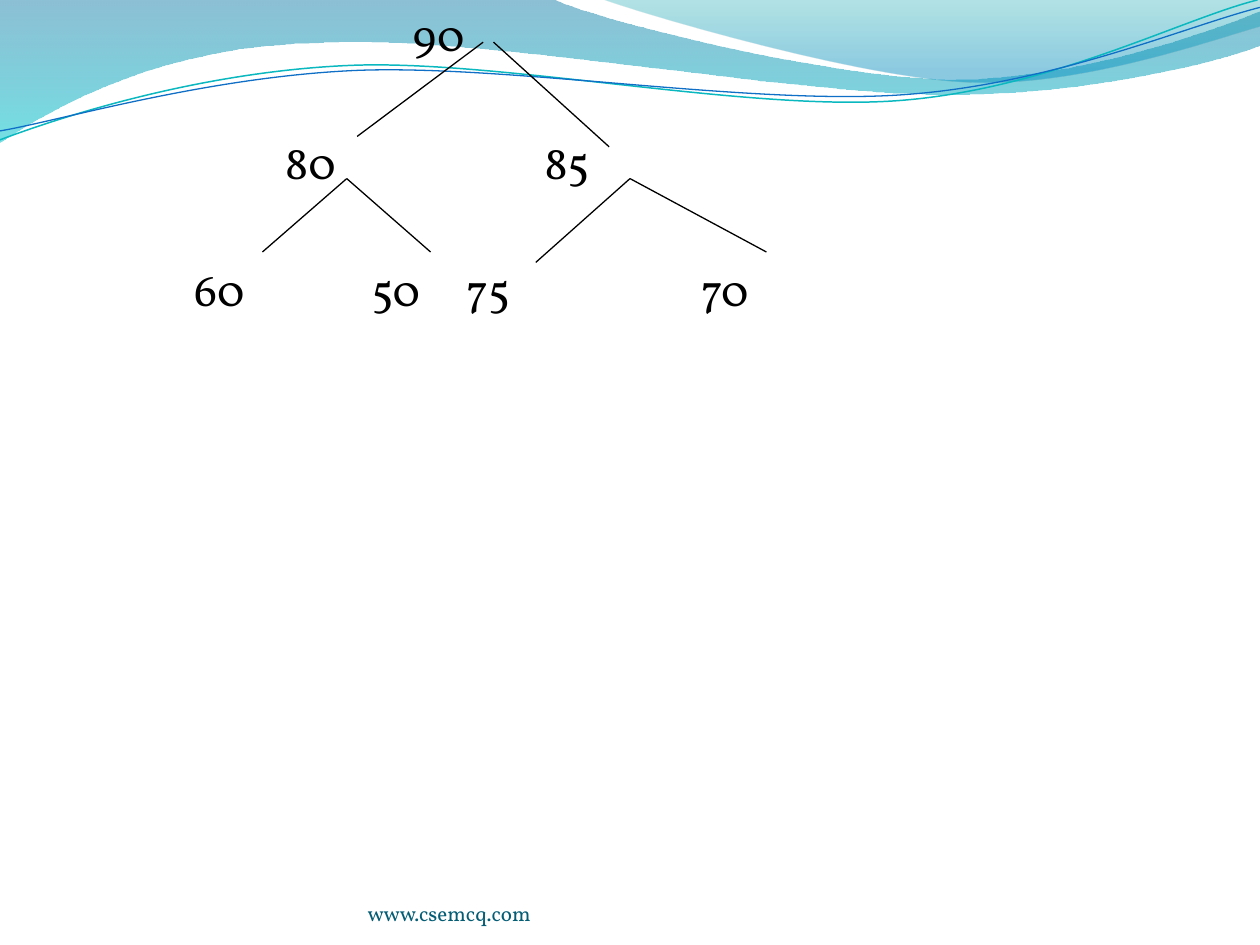
from lxml.etree import SubElement
from pptx import Presentation
from pptx.dml.color import RGBColor
from pptx.enum.shapes import MSO_CONNECTOR
from pptx.enum.text import MSO_ANCHOR
from pptx.oxml.ns import qn
from pptx.util import Cm, Pt

THEME = {
    "font": "Vollkorn",
    "ink": "000000", "footer": "045D75",
    "node_size": 26, "footer_size": 12,
    "level_gap": 41.5, "edge_width": 0.75,
}

# Heap: one list per level, (value, centre x) in cm
LEVELS = [
    [("90", 8.84)],
    [("80", 6.26), ("85", 11.43)],
    [("60", 4.42), ("50", 7.98), ("75", 9.84), ("70", 14.61)],
]
INSET_X, INSET_Y = 0.25, 0.13

# Edges: (from, to) in cm
EDGES = [
    ((9.74, 0.85), (7.2, 2.75)), ((9.95, 0.85), (12.28, 2.96)),
    ((6.99, 3.6), (5.29, 5.08)), ((6.99, 3.6), (8.68, 5.08)),
    ((12.7, 3.6), (10.8, 5.29)), ((12.7, 3.6), (15.45, 5.08)),
]
FOOTER = "www.csemcq.com"

# Outlines in cm: a start point, then line ends (2 numbers) or Bezier curves (6)
# Gradient stops: (position, colour, opacity %)
BANDS = [
    ([(0, 0), (11.18, 0), (12.09, 0.43, 16.87, 1.6, 19.25, 1.6),
      (21.67, 1.6, 24.33, 0.66, 25.4, 0.23), (25.4, 0.91),
      (24.97, 1.12, 22.1, 1.93, 18.95, 1.9),
      (15.8, 1.9, 9.7, 0.71, 6.53, 0.86), (3.28, 0.91, 1.17, 2.11, 0, 2.87)],
     [(0, "0074A1", 45), (1, "00C6CF", 55)]),
    ([(12.17, 0), (12.93, 0.28, 17.32, 1.57, 19.53, 1.65),
      (21.74, 1.75, 24.41, 0.81, 25.4, 0.53), (25.4, 0)],
     [(0, "00A1A9", 30), (0.8, "008BBF", 45)]),
]
WAVES = [
    ([(0, 2.82), (1.22, 2.36, 4.01, 1.45, 7.04, 1.32),
      (10.03, 1.19, 15.06, 2.26, 18.11, 2.03),
      (21.16, 1.8, 23.83, 0.38, 25.35, 0)], "0AB8BF", 0.85),
    ([(0, 2.64), (1.19, 2.44, 4.17, 1.55, 7.19, 1.42),
      (10.24, 1.3, 15.16, 2.13, 18.21, 1.91),
      (21.23, 1.7, 23.9, 0.53, 25.4, 0.15)], "0F6FC6", 0.75),
]


def add_outline(slide, outline, close):
    """Build a freeform, then join each curve's three points into one Bezier."""
    start, *segments = [[Cm(v) for v in seg] for seg in outline]
    builder = slide.shapes.build_freeform(*start)
    for seg in segments:
        builder.add_line_segments(list(zip(seg[::2], seg[1::2])), close=False)
    if close:
        builder.add_line_segments([], close=True)
    sp = builder.convert_to_shape()
    sp.shadow.inherit = False

    lines = iter(list(sp._element.iter(qn("a:lnTo"))))
    for seg in segments:
        points = [next(lines) for _ in seg[::2]]
        if len(points) == 3:
            points[0].tag = qn("a:cubicBezTo")
            for line in points[1:]:
                points[0].append(line[0])
                line.getparent().remove(line)
    return sp


def add_band(slide, outline, stops):
    sp = add_outline(slide, outline, True)
    sp.line.fill.background()
    sp.fill.gradient()
    sp.fill.gradient_angle = 270
    for stop, (position, color, _) in zip(sp.fill.gradient_stops, stops):
        stop.position = position
        stop.color.rgb = RGBColor.from_string(color)
    gradient = sp._element.spPr.find(qn("a:gradFill"))
    for clr, (_, _, opacity) in zip(gradient.iter(qn("a:srgbClr")), stops):
        SubElement(clr, qn("a:alpha"), val=str(opacity * 1000))


def add_wave(slide, outline, color, width):
    sp = add_outline(slide, outline, False)
    sp.fill.background()
    sp.line.color.rgb = RGBColor.from_string(color)
    sp.line.width = Pt(width)


def add_edge(slide, start, end):
    line = slide.shapes.add_connector(
        MSO_CONNECTOR.STRAIGHT, *(Cm(v) for v in start + end))
    line.line.color.rgb = RGBColor.from_string(THEME["ink"])
    line.line.width = Pt(THEME["edge_width"])
    SubElement(line._element.spPr, qn("a:effectLst"))


def add_box(slide, box, inset_x=0, inset_y=0):
    tf = slide.shapes.add_textbox(*(Cm(v) for v in box)).text_frame
    tf.word_wrap = True
    tf.margin_left = tf.margin_right = Cm(inset_x)
    tf.margin_top = tf.margin_bottom = Cm(inset_y)
    return tf


def set_text(p, text, size, color):
    p.text = text
    for r in p.runs:
        r.font.name, r.font.size = THEME["font"], Pt(size)
        r.font.color.rgb = RGBColor.from_string(color)


def add_heap(slide):
    tf = add_box(slide, (0, 0, 25.4, 19.05), INSET_X, INSET_Y)
    for depth, level in enumerate(LEVELS):
        p = tf.add_paragraph() if depth else tf.paragraphs[0]
        if depth:
            p.space_before = Pt(THEME["level_gap"])
        tabs = SubElement(p._p.get_or_add_pPr(), qn("a:tabLst"))
        for _, x in level:
            SubElement(tabs, qn("a:tab"), pos=str(Cm(x - INSET_X)), algn="ctr")
        text = "".join("\t" + value for value, _ in level)
        set_text(p, text, THEME["node_size"], THEME["ink"])


def main():
    prs = Presentation()
    prs.slide_width, prs.slide_height = Cm(25.4), Cm(19.05)
    s = prs.slides.add_slide(prs.slide_layouts[6])

    # Wavy header
    for band in BANDS:
        add_band(s, *band)
    for wave in WAVES:
        add_wave(s, *wave)

    # Heap values and edges
    add_heap(s)
    for edge in EDGES:
        add_edge(s, *edge)

    # Footer
    tf = add_box(s, (7.41, 17.65, 9.32, 1.02))
    tf.vertical_anchor = MSO_ANCHOR.BOTTOM
    set_text(tf.paragraphs[0], FOOTER, THEME["footer_size"], THEME["footer"])

    prs.save("out.pptx")


if __name__ == "__main__":
    main()
